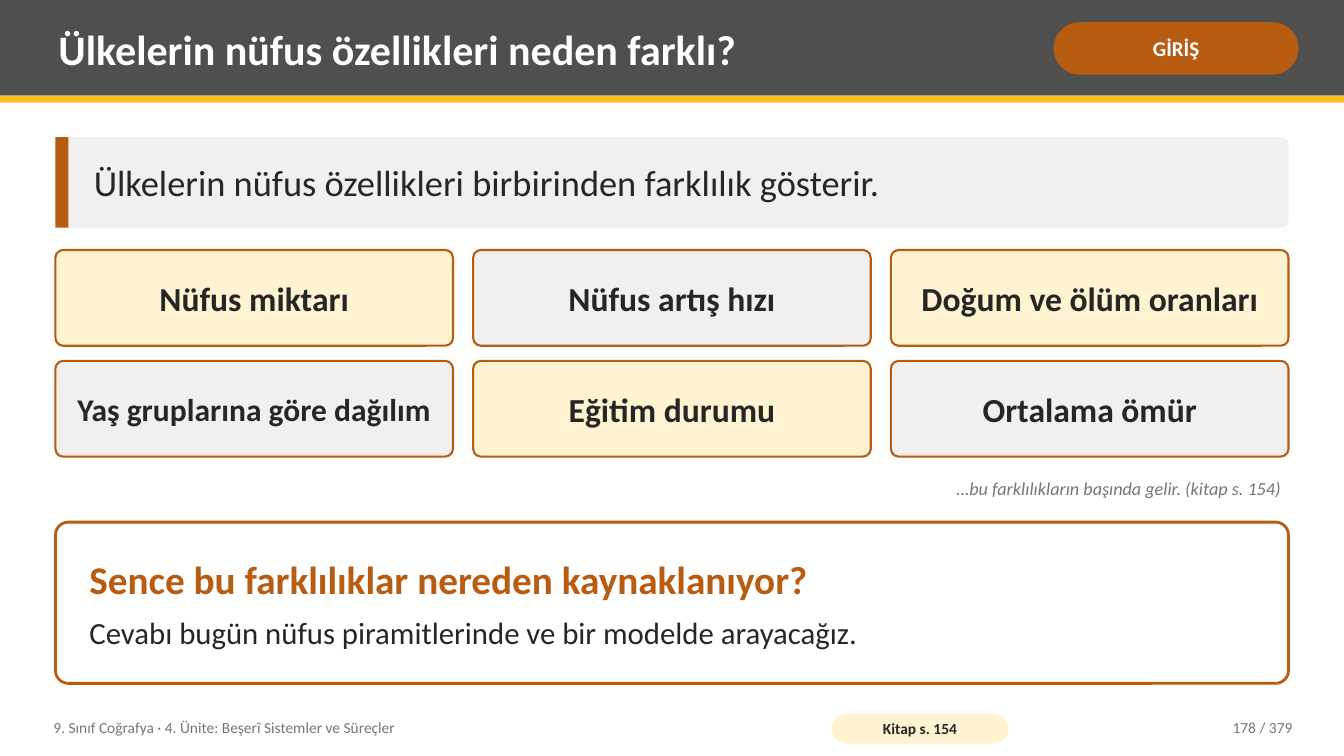
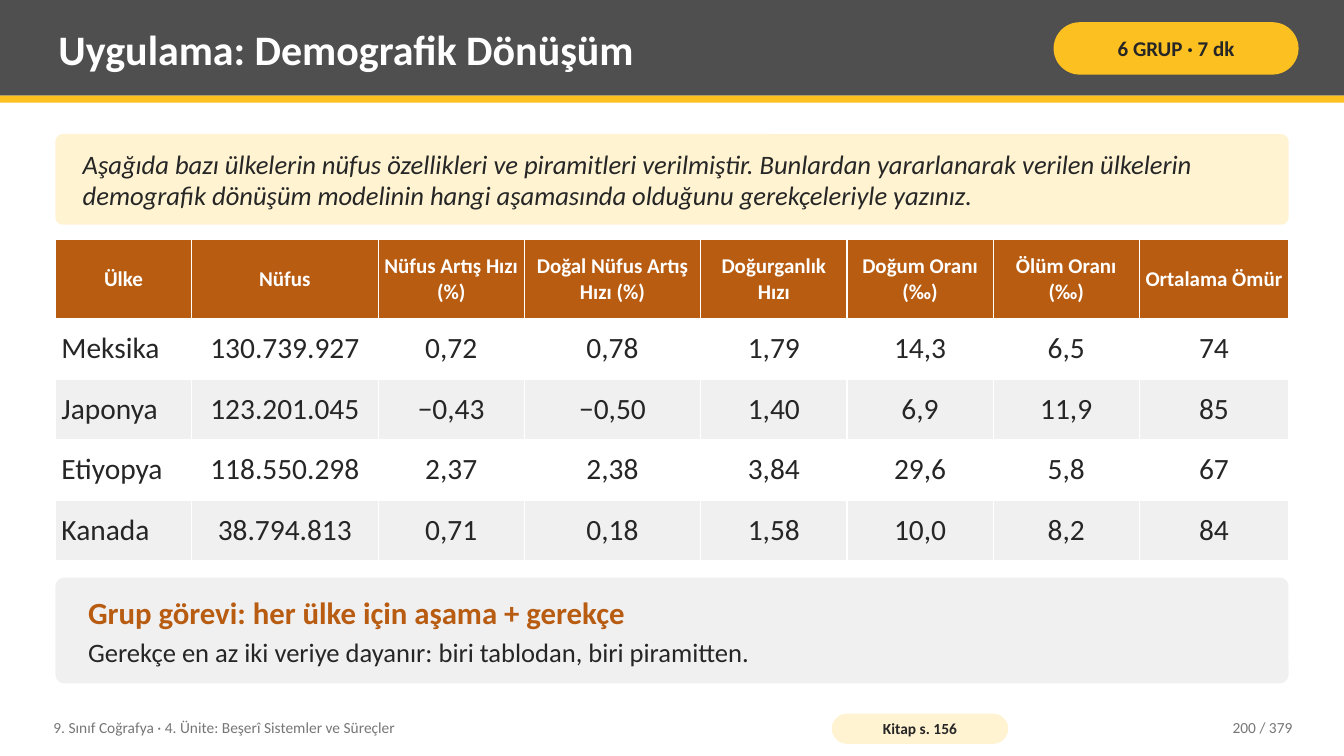
from dataclasses import dataclass

from lxml.etree import SubElement
from pptx import Presentation
from pptx.dml.color import RGBColor
from pptx.enum.shapes import MSO_SHAPE as Shape
from pptx.enum.text import MSO_ANCHOR as Anchor, MSO_AUTO_SIZE as AutoSize, PP_ALIGN as Align
from pptx.oxml.ns import qn
from pptx.util import Inches, Pt

COLORS = {
    "header": "4F4F4F",
    "gold": "FCC021",
    "rust": "B85C12",
    "cream": "FFF3D1",
    "light": "F0F0F0",
    "white": "FFFFFF",
    "ink": "262626",
    "muted": "767676",
}
FONT = "Calibri"
TITLE_ONLY = 5
SLIDE_WIDTH, SLIDE_HEIGHT = 13.33, 7.5
MARGIN, CONTENT_WIDTH = 0.55, 12.23
TEXT_INSETS = (0.08, 0.04)
PANEL_INSETS = (0.3, 0.08)
COURSE = "9. Sınıf Coğrafya · 4. Ünite: Beşerî Sistemler ve Süreçler"
PAGE_COUNT = 379


@dataclass
class Box:
    """A rectangle in inches."""
    left: float
    top: float
    width: float
    height: float

    def lengths(self):
        """Return the four measures as slide lengths."""
        return [Inches(value) for value in (self.left, self.top, self.width, self.height)]


@dataclass
class Line:
    """One paragraph of text with its look."""
    text: str
    size: float
    color: str = "ink"
    bold: bool = False
    italic: bool = False
    align: Align = Align.LEFT
    after: float = 0


def rgb(name):
    """Look up a named colour."""
    return RGBColor.from_string(COLORS[name])


def fill_frame(frame, lines):
    """Write the lines into a text frame, one run for each paragraph."""
    for index, line in enumerate(lines):
        para = frame.add_paragraph() if index else frame.paragraphs[0]
        para.alignment = line.align
        if line.after:
            para.space_after = Pt(line.after)
        run = para.add_run()
        run.text = line.text
        font = run.font
        font.name, font.size = FONT, Pt(line.size)
        font.bold, font.italic = line.bold, line.italic
        font.color.rgb = rgb(line.color)


def write(shape, lines, insets=TEXT_INSETS, anchor=Anchor.MIDDLE):
    """Set up the text frame of a shape and write its lines."""
    frame = shape.text_frame
    frame.word_wrap = True
    frame.auto_size = AutoSize.NONE
    frame.vertical_anchor = anchor
    frame.margin_left = frame.margin_right = Inches(insets[0])
    frame.margin_top = frame.margin_bottom = Inches(insets[1])
    fill_frame(frame, lines)


def add_text(slide, box, line, anchor=Anchor.MIDDLE):
    """Add a text box with a single line."""
    write(slide.shapes.add_textbox(*box.lengths()), [line], anchor=anchor)


def add_panel(slide, box, fill, lines=(), insets=PANEL_INSETS, radius=0.08, border=0):
    """Add a filled panel, rounded unless the radius is zero."""
    kind = Shape.ROUNDED_RECTANGLE if radius else Shape.RECTANGLE
    panel = slide.shapes.add_shape(kind, *box.lengths())
    panel.shadow.inherit = False
    if radius:
        panel.adjustments[0] = radius
    panel.fill.solid()
    panel.fill.fore_color.rgb = rgb(fill)
    if border:
        panel.line.width = Pt(border)
        panel.line.color.rgb = rgb("rust")
    else:
        panel.line.fill.background()
    if lines:
        write(panel, lines, insets)


def add_header(slide, box, title, tag, tag_fill, tag_color):
    """Draw the title band with its gold rule and tag."""
    add_panel(slide, box, "header", radius=0)
    add_panel(slide, Box(box.left, box.top + box.height, box.width, 0.07), "gold", radius=0)
    heading = slide.shapes.title
    place = Box(box.left + 0.5, box.top + 0.07, 9.75, 0.82)
    heading.left, heading.top, heading.width, heading.height = place.lengths()
    heading.element.getparent().append(heading.element)
    write(heading, [Line(title, 30, "white", bold=True)])
    add_panel(slide, Box(box.left + 10.45, box.top + 0.22, 2.43, 0.52), tag_fill,
              [Line(tag, 15, tag_color, bold=True, align=Align.CENTER)], (0.05, 0.02), 0.5)


def add_footer(slide, box, book_page, page):
    """Draw the course name, book reference and page number."""
    add_text(slide, Box(box.left, box.top, 7.6, box.height), Line(COURSE, 11, "muted"))
    add_panel(slide, Box(box.left + 7.8, box.top + 0.04, 1.75, 0.3), "cream",
              [Line(f"Kitap s. {book_page}", 11, bold=True, align=Align.CENTER)], (0.04, 0), 0.5)
    add_text(slide, Box(box.left + box.width - 1.6, box.top, 1.6, box.height),
             Line(f"{page} / {PAGE_COUNT}", 11, "muted", align=Align.RIGHT))


def add_page(deck, title, tag, tag_fill, tag_color, book_page, page):
    """Add a slide with the shared header and footer."""
    slide = deck.slides.add_slide(deck.slide_layouts[TITLE_ONLY])
    add_header(slide, Box(0, 0, SLIDE_WIDTH, 0.95), title, tag, tag_fill, tag_color)
    add_footer(slide, Box(0.45, 7.04, 12.45, 0.36), book_page, page)
    return slide


def add_statement(slide, box, text):
    """Draw a grey statement panel with an accent bar."""
    add_panel(slide, box, "light")
    add_panel(slide, Box(box.left, box.top, 0.13, box.height), "rust", radius=0)
    add_text(slide, Box(box.left + 0.3, box.top, box.width - 0.45, box.height), Line(text, 26))


def add_card_grid(slide, box, cards, columns=3, gap_x=0.2, gap_y=0.15):
    """Lay out cards in a grid with alternating fills."""
    rows = len(cards) // columns
    width = (box.width - gap_x * (columns - 1)) / columns
    height = (box.height - gap_y * (rows - 1)) / rows
    for index, (text, size) in enumerate(cards):
        row, column = divmod(index, columns)
        place = Box(box.left + column * (width + gap_x), box.top + row * (height + gap_y),
                    width, height)
        add_panel(slide, place, "light" if index % 2 else "cream",
                  [Line(text, size, bold=True, align=Align.CENTER)], (0.14, 0.08), border=1.5)


def add_cell_borders(cell, color="white", width=0.96):
    """Give a table cell thin borders on all sides."""
    properties = cell._tc.get_or_add_tcPr()
    for side in ("lnL", "lnR", "lnT", "lnB"):
        edge = SubElement(properties, qn(f"a:{side}"), w=str(int(Pt(width))))
        solid = SubElement(edge, qn("a:solidFill"))
        SubElement(solid, qn("a:srgbClr"), val=COLORS[color])


def fill_cell(cell, line, fill):
    """Format one table cell and write its text."""
    add_cell_borders(cell)
    cell.fill.solid()
    cell.fill.fore_color.rgb = rgb(fill)
    cell.vertical_anchor = Anchor.MIDDLE
    cell.margin_left = cell.margin_right = Inches(0.06)
    cell.margin_top = cell.margin_bottom = Inches(0.05)
    fill_frame(cell.text_frame, [line])


def add_country_table(slide, box, widths, header, records, header_height=0.78):
    """Draw the table of countries with banded rows."""
    table = slide.shapes.add_table(len(records) + 1, len(header), *box.lengths()).table
    table.horz_banding = False
    for column, width in zip(table.columns, widths):
        column.width = Inches(width)
    row_height = (box.height - header_height) / len(records)
    for index, values in enumerate([header, *records]):
        table.rows[index].height = Inches(row_height if index else header_height)
        for column, text in enumerate(values):
            if index == 0:
                line = Line(text, 15, "white", bold=True, align=Align.CENTER)
                fill = "rust"
            else:
                line = Line(text, 21, align=Align.CENTER if column else Align.LEFT)
                fill = "white" if index % 2 else "light"
            fill_cell(table.cell(index, column), line, fill)


def build_intro(deck):
    """Build the opening slide on population differences."""
    slide = add_page(deck, "Ülkelerin nüfus özellikleri neden farklı?",
                     "GİRİŞ", "rust", "white", 154, 178)
    add_statement(slide, Box(MARGIN, 1.36, CONTENT_WIDTH, 0.9),
                  "Ülkelerin nüfus özellikleri birbirinden farklılık gösterir.")
    add_card_grid(slide, Box(MARGIN, 2.48, CONTENT_WIDTH, 2.05), [
        ("Nüfus miktarı", 24),
        ("Nüfus artış hızı", 24),
        ("Doğum ve ölüm oranları", 24),
        ("Yaş gruplarına göre dağılım", 22.5),
        ("Eğitim durumu", 24),
        ("Ortalama ömür", 24),
    ])
    add_text(slide, Box(MARGIN, 4.7, CONTENT_WIDTH, 0.36),
             Line("…bu farklılıkların başında gelir. (kitap s. 154)", 13, "muted",
                  italic=True, align=Align.RIGHT), Anchor.TOP)
    add_panel(slide, Box(MARGIN, 5.18, CONTENT_WIDTH, 1.6), "white", [
        Line("Sence bu farklılıklar nereden kaynaklanıyor?", 28, "rust", bold=True, after=8),
        Line("Cevabı bugün nüfus piramitlerinde ve bir modelde arayacağız.", 22),
    ], border=2)


def build_exercise(deck):
    """Build the group exercise slide with the country table."""
    slide = add_page(deck, "Uygulama: Demografik Dönüşüm",
                     "6 GRUP · 7 dk", "gold", "ink", 156, 200)
    add_panel(slide, Box(MARGIN, 1.33, CONTENT_WIDTH, 0.9), "cream", [
        Line("Aşağıda bazı ülkelerin nüfus özellikleri ve piramitleri verilmiştir. "
             "Bunlardan yararlanarak verilen ülkelerin demografik dönüşüm modelinin "
             "hangi aşamasında olduğunu gerekçeleriyle yazınız.", 19, italic=True),
    ], (0.25, 0.08))
    add_country_table(
        slide, Box(MARGIN, 2.38, CONTENT_WIDTH, 3.18),
        [1.35, 1.85, 1.45, 1.75, 1.45, 1.45, 1.45, 1.48],
        ["Ülke", "Nüfus", "Nüfus Artış Hızı (%)", "Doğal Nüfus Artış Hızı (%)",
         "Doğurganlık Hızı", "Doğum Oranı (‰)", "Ölüm Oranı (‰)", "Ortalama Ömür"],
        [
            ["Meksika", "130.739.927", "0,72", "0,78", "1,79", "14,3", "6,5", "74"],
            ["Japonya", "123.201.045", "−0,43", "−0,50", "1,40", "6,9", "11,9", "85"],
            ["Etiyopya", "118.550.298", "2,37", "2,38", "3,84", "29,6", "5,8", "67"],
            ["Kanada", "38.794.813", "0,71", "0,18", "1,58", "10,0", "8,2", "84"],
        ])
    add_panel(slide, Box(MARGIN, 5.73, CONTENT_WIDTH, 1.05), "light", [
        Line("Grup görevi: her ülke için aşama + gerekçe", 22, "rust", bold=True, after=4),
        Line("Gerekçe en az iki veriye dayanır: biri tablodan, biri piramitten.", 19),
    ])


def main():
    """Build the deck and save it."""
    deck = Presentation()
    deck.slide_width, deck.slide_height = Inches(SLIDE_WIDTH), Inches(SLIDE_HEIGHT)
    build_intro(deck)
    build_exercise(deck)
    deck.save("out.pptx")


if __name__ == "__main__":
    main()
